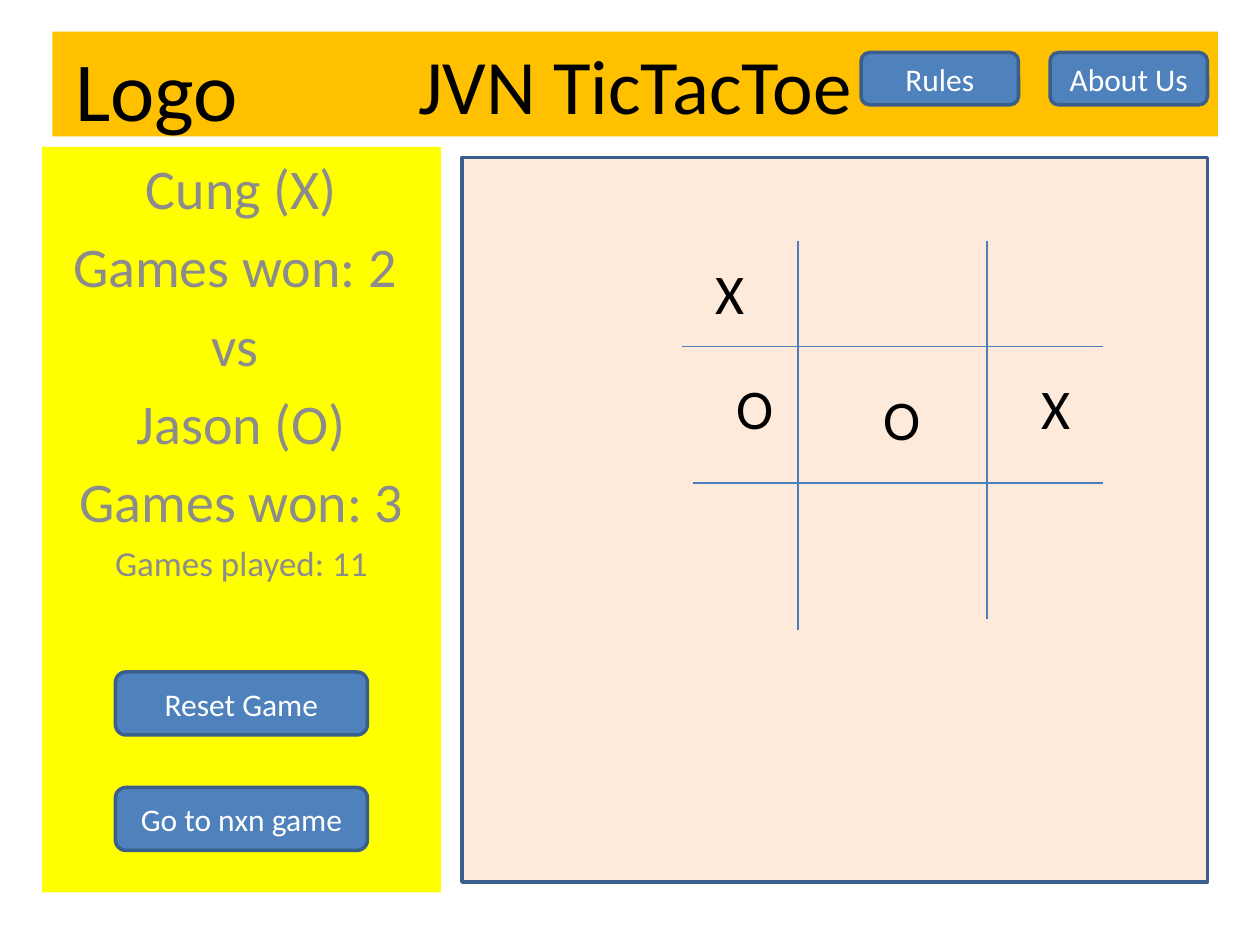
from dataclasses import dataclass

from lxml import etree
from pptx import Presentation
from pptx.dml.color import RGBColor
from pptx.enum.shapes import MSO_CONNECTOR, MSO_SHAPE
from pptx.enum.text import MSO_ANCHOR, PP_ALIGN
from pptx.oxml.ns import qn
from pptx.util import Inches, Pt

CENTER, LEFT = PP_ALIGN.CENTER, PP_ALIGN.LEFT
TOP, MIDDLE = MSO_ANCHOR.TOP, MSO_ANCHOR.MIDDLE
RECT, ROUNDED = MSO_SHAPE.RECTANGLE, MSO_SHAPE.ROUNDED_RECTANGLE
STRAIGHT = MSO_CONNECTOR.STRAIGHT


@dataclass(frozen=True)
class Theme:
    font: str = "Calibri"
    black: str = "000000"
    white: str = "FFFFFF"
    grey: str = "8C8C8C"
    header: str = "FFC000"
    sidebar: str = "FFFF00"
    board: str = "FDEADA"
    button: str = "4F81BD"
    outline: str = "3A5F8C"
    grid: str = "4B7EBC"
    logo_size: int = 48
    title_size: int = 44
    body_size: int = 32
    small_size: int = 20
    button_size: int = 18


THEME = Theme()


def u(n):
    """Grid units: the slide is 120 columns by 90 rows, 12 to the inch."""
    return Inches(n / 12)


def rgb(value):
    return RGBColor.from_string(value)


def paint(sp, fill, line=None):
    sp.fill.solid()
    sp.fill.fore_color.rgb = rgb(fill)
    if line:
        sp.line.color.rgb = rgb(line)
        sp.line.width = Pt(2)


def write(sp, *lines, size=THEME.body_size, color=THEME.black, align=CENTER,
          anchor=MIDDLE, last_size=None):
    tf = sp.text_frame
    tf.word_wrap = True
    tf.vertical_anchor = anchor
    for i, line in enumerate(lines):
        p = tf.paragraphs[0] if i == 0 else tf.add_paragraph()
        p.alignment = align
        r = p.add_run()
        r.text = line
        r.font.name = THEME.font
        r.font.size = Pt(size)
        r.font.color.rgb = rgb(color)
    if last_size:
        r.font.size = Pt(last_size)


def place(sp, col, row, cols, rows):
    sp.left, sp.top, sp.width, sp.height = u(col), u(row), u(cols), u(rows)


def add_box(s, kind, col, row, cols, rows, fill):
    sp = s.shapes.add_shape(kind, u(col), u(row), u(cols), u(rows))
    sp.shadow.inherit = False
    paint(sp, fill, THEME.outline)
    return sp


def add_button(s, text, col, row, cols, rows):
    sp = add_box(s, ROUNDED, col, row, cols, rows, THEME.button)
    write(sp, text, size=THEME.button_size, color=THEME.white)


def add_label(s, text, col, row, cols, rows, size):
    sp = s.shapes.add_textbox(u(col), u(row), u(cols), u(rows))
    write(sp, text, size=size, align=LEFT, anchor=TOP)


def add_grid_line(s, x1, y1, x2, y2):
    line = s.shapes.add_connector(STRAIGHT, u(x1), u(y1), u(x2), u(y2))
    line.line.color.rgb = rgb(THEME.grid)
    line.line.width = Pt(0.75)
    etree.SubElement(line._element.spPr, qn("a:effectLst"))


def main():
    prs = Presentation()
    prs.slide_width, prs.slide_height = u(120), u(90)
    s = prs.slides.add_slide(prs.slide_layouts[0])

    # Header
    title = s.shapes.title
    place(title, 5, 3, 111, 10)
    paint(title, THEME.header)
    write(title, "JVN TicTacToe", size=THEME.title_size)
    add_label(s, "Logo", 6, 3, 18, 11, THEME.logo_size)
    for text, col in (("Rules", 82), ("About Us", 100)):
        add_button(s, text, col, 5, 15, 5)

    # Score sidebar
    scores = s.placeholders[1]
    place(scores, 4, 14, 38, 71)
    paint(scores, THEME.sidebar)
    write(scores, "Cung (X)", "Games won: 2 ", "vs ", "Jason (O)",
          "Games won: 3", "Games played: 11", color=THEME.grey, anchor=TOP,
          last_size=THEME.small_size)
    for text, row in (("Reset Game", 64), ("Go to nxn game", 75)):
        add_button(s, text, 11, row, 24, 6)

    # Game board
    add_box(s, RECT, 44, 15, 71, 69, THEME.board)
    for ends in ((94, 23, 94, 59), (76, 23, 76, 60),
                 (66, 46, 105, 46), (65, 33, 105, 33)):
        add_grid_line(s, *ends)
    for mark, col, row in (("X", 67, 24), ("X", 98, 35),
                           ("O", 69, 35), ("O", 83, 36)):
        add_label(s, mark, col, row, 4, 7.7, THEME.body_size)

    prs.save("out.pptx")


main()
